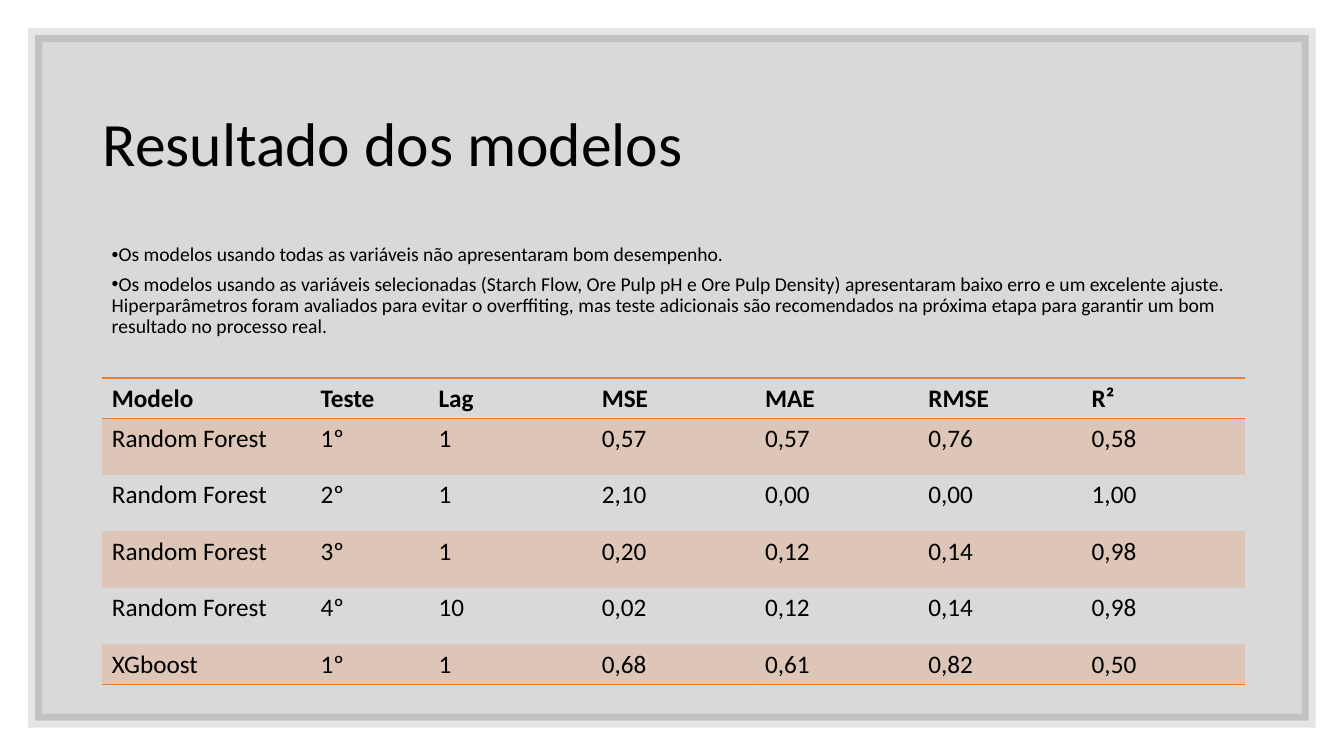
from lxml.etree import SubElement
from pptx import Presentation
from pptx.dml.color import RGBColor
from pptx.enum.shapes import MSO_SHAPE
from pptx.enum.text import MSO_ANCHOR
from pptx.oxml.ns import qn
from pptx.util import Inches, Pt

FONT = "Calibri"
BLACK = "000000"
ORANGE = "ED7D31"
NOTES = [
    "Os modelos usando todas as variáveis não apresentaram bom desempenho.",
    "Os modelos usando as variáveis selecionadas (Starch Flow, Ore Pulp pH e Ore Pulp Density) "
    "apresentaram baixo erro e um excelente ajuste. Hiperparâmetros foram avaliados para evitar "
    "o overffiting, mas teste adicionais são recomendados na próxima etapa para garantir um bom "
    "resultado no processo real.",
]
RESULTS = [
    ["Modelo", "Teste", "Lag", "MSE", "MAE", "RMSE", "R²"],
    ["Random Forest", "1º", "1", "0,57", "0,57", "0,76", "0,58"],
    ["Random Forest", "2º", "1", "2,10", "0,00", "0,00", "1,00"],
    ["Random Forest", "3º", "1", "0,20", "0,12", "0,14", "0,98"],
    ["Random Forest", "4º", "10", "0,02", "0,12", "0,14", "0,98"],
    ["XGboost", "1º", "1", "0,68", "0,61", "0,82", "0,50"],
]
COL_WIDTHS = [2.07, 1.17] + [1.62] * 5
ROW_HEIGHTS = [0.4] + [0.56] * 4 + [0.4]


def rgb(color):
    """Turn a hex string into a colour."""
    return RGBColor.from_string(color)


def set_fill(fill, color, alpha):
    """Apply a solid fill with an opacity in percent."""
    fill.solid()
    fill.fore_color.rgb = rgb(color)
    clr = fill._xPr.find(qn("a:solidFill"))[0]
    SubElement(clr, qn("a:alpha"), val=str(alpha * 1000))


def add_run(p, text, size, bold=False):
    """Add a formatted run to a paragraph."""
    r = p.add_run()
    r.text = text
    r.font.name = FONT
    r.font.size = Pt(size)
    r.font.bold = bold
    r.font.color.rgb = rgb(BLACK)


def add_frame(s, x, y, w, h):
    """Add the translucent panel with its border."""
    sp = s.shapes.add_shape(MSO_SHAPE.RECTANGLE, Inches(x), Inches(y), Inches(w), Inches(h))
    sp.shadow.inherit = False
    set_fill(sp.fill, BLACK, 15)
    sp.line.width = Pt(10)
    set_fill(sp.line.fill, BLACK, 10)
    SubElement(sp.line._ln, qn("a:miter"), lim="800000")


def add_text(s, x, y, w, h, texts, size, anchor=MSO_ANCHOR.TOP, space_after=0, bullet=None):
    """Add a wrapped text box with one paragraph per text."""
    tf = s.shapes.add_textbox(Inches(x), Inches(y), Inches(w), Inches(h)).text_frame
    tf.word_wrap = True
    tf.vertical_anchor = anchor
    for i, text in enumerate(texts):
        p = tf.add_paragraph() if i else tf.paragraphs[0]
        p.line_spacing = 0.9
        p.space_after = Pt(space_after)
        add_run(p, text, size)
        if bullet:
            pPr = p._p.get_or_add_pPr()
            pPr.set("marL", "0")
            pPr.set("indent", str(-Inches(0.25)))
            SubElement(pPr, qn("a:buFont"), typeface="Arial")
            SubElement(pPr, qn("a:buChar"), char=bullet)


def set_borders(cell, visible):
    """Draw the named cell sides in orange and hide the others."""
    tcPr = cell._tc.get_or_add_tcPr()
    for i, side in enumerate(["lnL", "lnR", "lnT", "lnB"]):
        ln = tcPr.makeelement(qn(f"a:{side}"), {"w": str(Pt(1))})
        if side in visible:
            fill = SubElement(ln, qn("a:solidFill"))
            SubElement(fill, qn("a:srgbClr"), val=ORANGE)
        else:
            SubElement(ln, qn("a:noFill"))
        tcPr.insert(i, ln)


def add_results(s, x, y, rows):
    """Add the results table with banded rows and orange rules."""
    w, h = Inches(sum(COL_WIDTHS)), Inches(sum(ROW_HEIGHTS))
    shape = s.shapes.add_table(len(rows), len(rows[0]), Inches(x), Inches(y), w, h)
    table = shape.table
    table.horz_banding = False
    for col, width in zip(table.columns, COL_WIDTHS):
        col.width = Inches(width)
    for i, values in enumerate(rows):
        table.rows[i].height = Inches(ROW_HEIGHTS[i])
        sides = {0: ["lnT", "lnB"], 1: ["lnT"], len(rows) - 1: ["lnB"]}.get(i, [])
        for j, value in enumerate(values):
            cell = table.cell(i, j)
            add_run(cell.text_frame.paragraphs[0], value, 18, bold=i == 0)
            if i % 2:
                set_fill(cell.fill, ORANGE, 20)
            else:
                cell.fill.background()
            set_borders(cell, sides)


def main():
    """Build the slide and save it."""
    prs = Presentation()
    prs.slide_width, prs.slide_height = Inches(13.33), Inches(7.5)
    s = prs.slides.add_slide(prs.slide_layouts[6])
    add_frame(s, 0.35, 0.35, 12.63, 6.8)
    add_text(s, 0.92, 0.73, 11.5, 1.45, ["Resultado dos modelos"], 44, anchor=MSO_ANCHOR.MIDDLE)
    add_text(s, 1.01, 2.38, 11.41, 4.15, NOTES, 14, space_after=6, bullet="•")
    add_results(s, 1.01, 3.75, RESULTS)
    prs.save("out.pptx")


if __name__ == "__main__":
    main()
